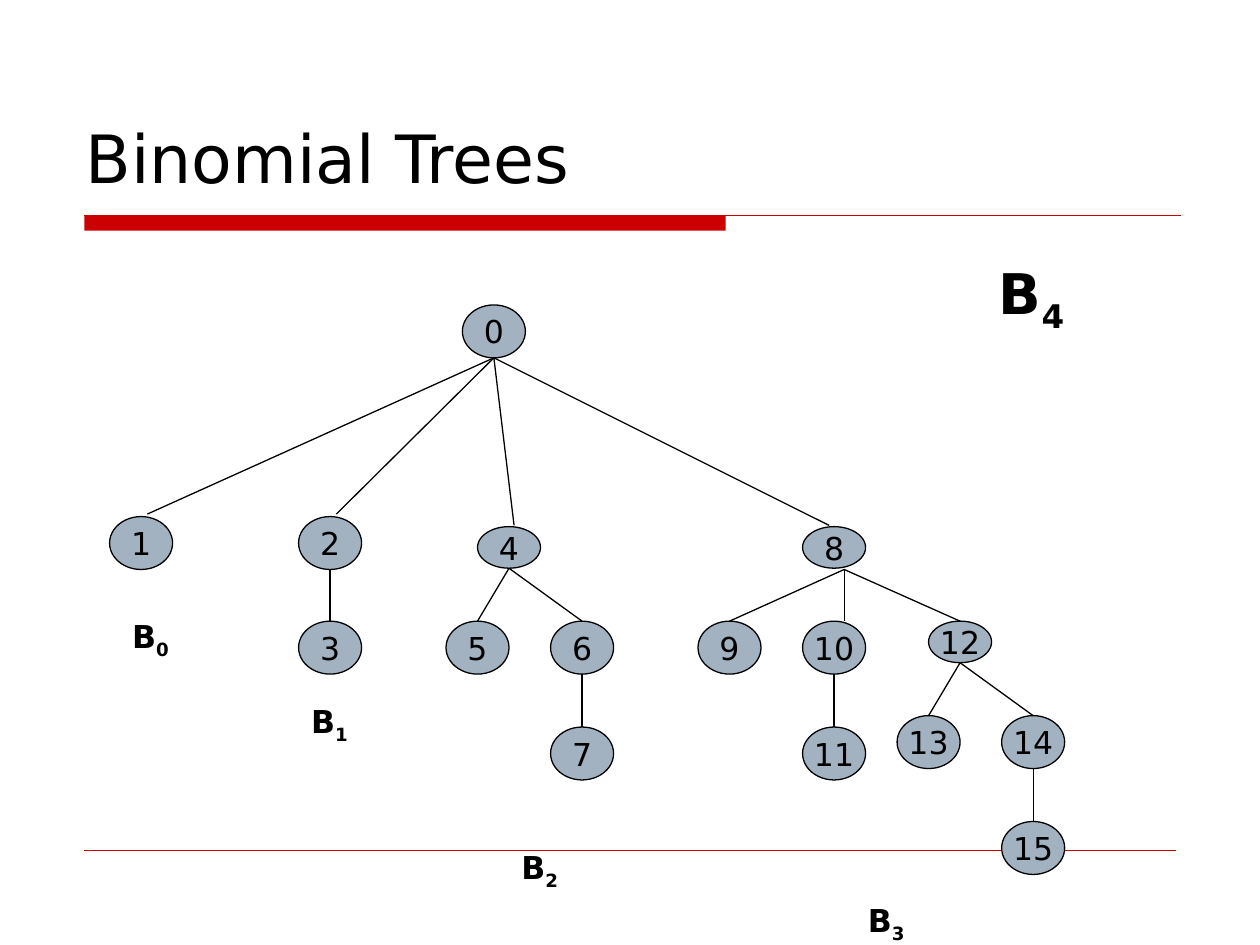
from lxml.etree import SubElement
from pptx import Presentation
from pptx.dml.color import RGBColor
from pptx.enum.shapes import MSO_CONNECTOR, MSO_SHAPE
from pptx.enum.text import MSO_ANCHOR, PP_ALIGN
from pptx.oxml.ns import qn
from pptx.util import Inches, Pt

COLORS = {"ink": "000000", "node": "A3B2C1", "accent": "CC0000"}
FONT = "DejaVu Sans"
NODE_W, NODE_H, FLAT_H = 0.5, 0.42, 0.33

TITLE = "Binomial Trees"
NODES = {
    0: (3.92, 2.42, NODE_H),
    1: (1.12, 4.1, NODE_H),
    2: (2.62, 4.1, NODE_H),
    3: (2.62, 4.93, NODE_H),
    4: (4.04, 4.18, FLAT_H),
    5: (3.79, 4.93, NODE_H),
    6: (4.62, 4.93, NODE_H),
    7: (4.62, 5.77, NODE_H),
    8: (6.62, 4.18, FLAT_H),
    9: (5.79, 4.93, NODE_H),
    10: (6.62, 4.93, NODE_H),
    11: (6.62, 5.77, NODE_H),
    12: (7.62, 4.93, FLAT_H),
    13: (7.37, 5.68, NODE_H),
    14: (8.2, 5.68, NODE_H),
    15: (8.2, 6.52, NODE_H),
}
CHILDREN = {
    0: (1, 2, 4, 8),
    2: (3,),
    4: (5, 6),
    6: (7,),
    8: (9, 10, 12),
    10: (11,),
    12: (13, 14),
    14: (15,),
}
EDGE_STARTS = {8: (6.7, 4.52)}
EDGE_ENDS = {1: (1.17, 4.08), 2: (2.67, 4.08), 4: (4.08, 4.17),
             8: (6.58, 4.17), 10: (6.7, 4.93)}
LABELS = [
    ("0", 0.95, 4.85, 0.58, 0.44, 18, 11.2),
    ("1", 2.37, 5.52, 0.58, 0.44, 18, 11.2),
    ("2", 4.04, 6.68, 0.58, 0.44, 18, 11.2),
    ("3", 6.79, 7.1, 0.58, 0.44, 18, 11.2),
    ("4", 7.83, 2, 0.92, 0.71, 32, 20),
]


def rgb(name):
    return RGBColor.from_string(COLORS[name])


def add_run(p, text, size=18, bold=False, baseline=None):
    r = p.add_run()
    r.text = text
    r.font.name = FONT
    r.font.size = Pt(size)
    r.font.bold = bold
    r.font.color.rgb = rgb("ink")
    if baseline is not None:
        r._r.get_or_add_rPr().set("baseline", str(baseline))


def add_line(slide, start, end, color="ink", width=0.75):
    points = [Inches(v) for v in (*start, *end)]
    sp = slide.shapes.add_connector(MSO_CONNECTOR.STRAIGHT, *points)
    sp.line.color.rgb = rgb(color)
    sp.line.width = Pt(width)
    SubElement(sp._element.spPr, qn("a:effectLst"))


def add_shape(slide, kind, x, y, w, h, fill):
    sp = slide.shapes.add_shape(kind, Inches(x), Inches(y), Inches(w), Inches(h))
    sp.shadow.inherit = False
    sp.fill.solid()
    sp.fill.fore_color.rgb = rgb(fill)
    return sp


def add_text_box(slide, x, y, w, h):
    sp = slide.shapes.add_textbox(Inches(x), Inches(y), Inches(w), Inches(h))
    sp.text_frame.word_wrap = True
    return sp.text_frame


def add_node(slide, number):
    cx, top, height = NODES[number]
    sp = add_shape(slide, MSO_SHAPE.OVAL, cx - NODE_W / 2, top, NODE_W, height, "node")
    sp.line.color.rgb = rgb("ink")
    sp.line.width = Pt(0.75)
    tf = sp.text_frame
    tf.word_wrap = False
    tf.vertical_anchor = MSO_ANCHOR.MIDDLE
    p = tf.paragraphs[0]
    p.alignment = PP_ALIGN.CENTER
    add_run(p, str(number))


def add_edge(slide, parent, child):
    px, ptop, pheight = NODES[parent]
    start = EDGE_STARTS.get(parent, (px, ptop + pheight))
    end = EDGE_ENDS.get(child, NODES[child][:2])
    add_line(slide, start, end)


def add_label(slide, order, x, y, w, h, size, before):
    p = add_text_box(slide, x, y, w, h).paragraphs[0]
    p.space_before = Pt(before)
    add_run(p, "B", size=size, bold=True)
    add_run(p, order, size=size, bold=True, baseline=-25000)


def main():
    prs = Presentation()
    prs.slide_width, prs.slide_height = Inches(10), Inches(7.5)
    slide = prs.slides.add_slide(prs.slide_layouts[6])

    bar = add_shape(slide, MSO_SHAPE.RECTANGLE, 0.67, 1.71, 5.09, 0.12, "accent")
    bar.line.fill.background()
    add_line(slide, (0.67, 1.71), (9.37, 1.71), color="accent")
    add_line(slide, (0.67, 6.75), (9.33, 6.75), color="accent", width=0.25)

    tf = add_text_box(slide, 0.58, 0.25, 8.75, 1.33)
    tf.vertical_anchor = MSO_ANCHOR.BOTTOM
    tf.margin_bottom = Inches(0.02)
    add_run(tf.paragraphs[0], TITLE, size=38)

    for number in NODES:
        add_node(slide, number)
    for parent, children in CHILDREN.items():
        for child in children:
            add_edge(slide, parent, child)
    for label in LABELS:
        add_label(slide, *label)

    prs.save("out.pptx")


if __name__ == "__main__":
    main()
